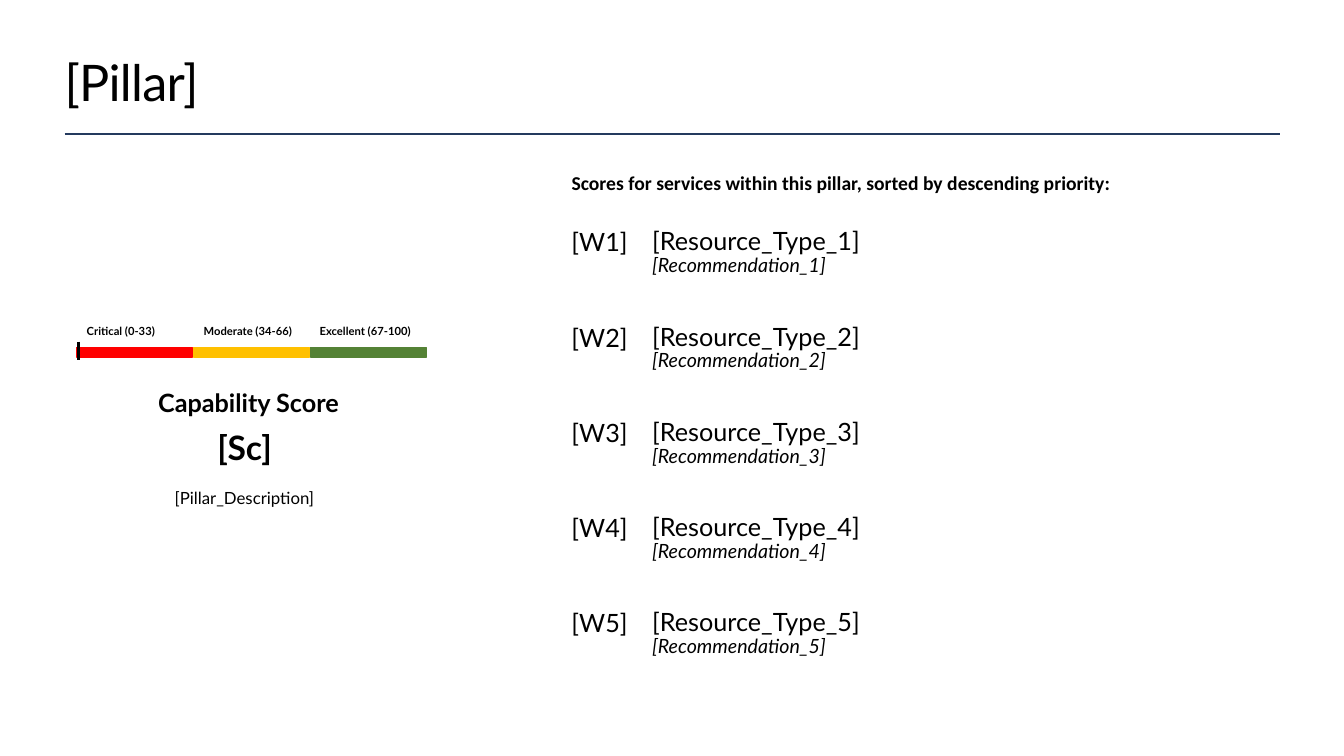
from pptx import Presentation
from pptx.dml.color import RGBColor
from pptx.enum.shapes import MSO_CONNECTOR, MSO_SHAPE
from pptx.enum.text import MSO_ANCHOR, MSO_AUTO_SIZE, PP_ALIGN
from pptx.oxml.ns import qn
from pptx.util import Inches, Pt
from lxml.etree import SubElement

# Theme: colours and text formats
THEME = {
    "text": RGBColor.from_string("000000"),
    "rule": RGBColor.from_string("243A5E"),
    "bands": [
        ("Critical (0-33)", RGBColor.from_string("FF0000")),
        ("Moderate (34-66)", RGBColor.from_string("FFC000")),
        ("Excellent (67-100)", RGBColor.from_string("548235")),
    ],
    "title": {"name": "Lato", "size": Pt(36)},
    "band": {"name": "Lato", "size": Pt(8), "bold": True},
    "label": {"name": "Lato", "size": Pt(18), "bold": True},
    "score": {"name": "Lato", "size": Pt(24), "bold": True},
    "description": {"name": "Lato", "size": Pt(12)},
    "heading": {"name": "Calibri", "size": Pt(14), "bold": True},
    "service": {"name": "Lato", "size": Pt(18)},
    "advice": {"name": "Lato", "size": Pt(14), "italic": True},
}


def write(tf, text, style, align=PP_ALIGN.LEFT):
    p = tf.paragraphs[0]
    p.alignment = align
    r = p.add_run()
    r.text = text
    for key, value in THEME[style].items():
        setattr(r.font, key, value)
    r.font.color.rgb = THEME["text"]
    return r


def add_text(x, y, w, h, text, style, align=PP_ALIGN.LEFT):
    tf = s.shapes.add_textbox(Inches(x), Inches(y), Inches(w), Inches(h)).text_frame
    tf.word_wrap = True
    tf.auto_size = MSO_AUTO_SIZE.SHAPE_TO_FIT_TEXT
    return tf, write(tf, text, style, align)


prs = Presentation()
prs.slide_width, prs.slide_height = Inches(13.33), Inches(7.5)
s = prs.slides.add_slide(prs.slide_layouts[6])

# Title
tf, r = add_text(0.64, 0.5, 12.05, 0.61, "[Pillar]", "title")
tf.vertical_anchor = MSO_ANCHOR.MIDDLE
for side in ("left", "top", "right", "bottom"):
    setattr(tf, f"margin_{side}", 0)
r.font._element.set("spc", "-50")

# Score scale: coloured bands
BAR_X, BAR_Y, BAND_PITCH = 0.76, 3.45, 1.16
for i, (_, color) in enumerate(THEME["bands"]):
    sp = s.shapes.add_shape(MSO_SHAPE.RECTANGLE, Inches(BAR_X + i * BAND_PITCH),
                            Inches(BAR_Y), Inches(1.15), Inches(0.09))
    sp.shadow.inherit = False
    sp.fill.solid()
    sp.fill.fore_color.rgb = color
    sp.line.color.rgb = color
    sp.line.width = Pt(1)

# Score scale: band names
table = s.shapes.add_table(1, 3, Inches(BAR_X), Inches(3.17),
                           Inches(3.46), Inches(0.21)).table
table.first_row = table.horz_banding = False
table.rows[0].height = Inches(0.21)
for i, (name, _) in enumerate(THEME["bands"]):
    table.columns[i].width = Inches(1.16 if i == 0 else 1.15)
    cell = table.cell(0, i)
    cell.fill.background()
    write(cell.text_frame, name, "band")

# Title rule and score marker
for x1, y1, x2, y2, color, width in [
    (0.64, 1.33, 12.7, 1.33, THEME["rule"], 2),
    (0.78, 3.39, 0.78, 3.57, THEME["text"], 2.5),
]:
    line = s.shapes.add_connector(MSO_CONNECTOR.STRAIGHT, Inches(x1), Inches(y1),
                                  Inches(x2), Inches(y2))
    line.line.color.rgb = color
    line.line.width = Pt(width)
    SubElement(line._element.spPr, qn("a:effectLst"))

# Capability score
add_text(1.47, 3.79, 2.09, 0.4, "Capability Score", "label")
add_text(1.83, 4.19, 1.19, 0.5, "[Sc]", "score", PP_ALIGN.CENTER)
add_text(0.52, 4.79, 3.81, 0.3, "[Pillar_Description]", "description", PP_ALIGN.CENTER)

# Services by priority
add_text(5.57, 1.65, 6.72, 0.34,
         "Scores for services within this pillar, sorted by descending priority:", "heading")
ROW_Y, ROW_PITCH = 2.19, 0.945
for i in range(5):
    n, y = i + 1, ROW_Y + i * ROW_PITCH
    add_text(5.57, y + 0.01, 0.76, 0.4, f"[W{n}]", "service")
    add_text(6.37, y, 5.21, 0.4, f"[Resource_Type_{n}]", "service")
    add_text(6.37, y + 0.27, 6.3, 0.34, f"[Recommendation_{n}]", "advice")

prs.save("out.pptx")
